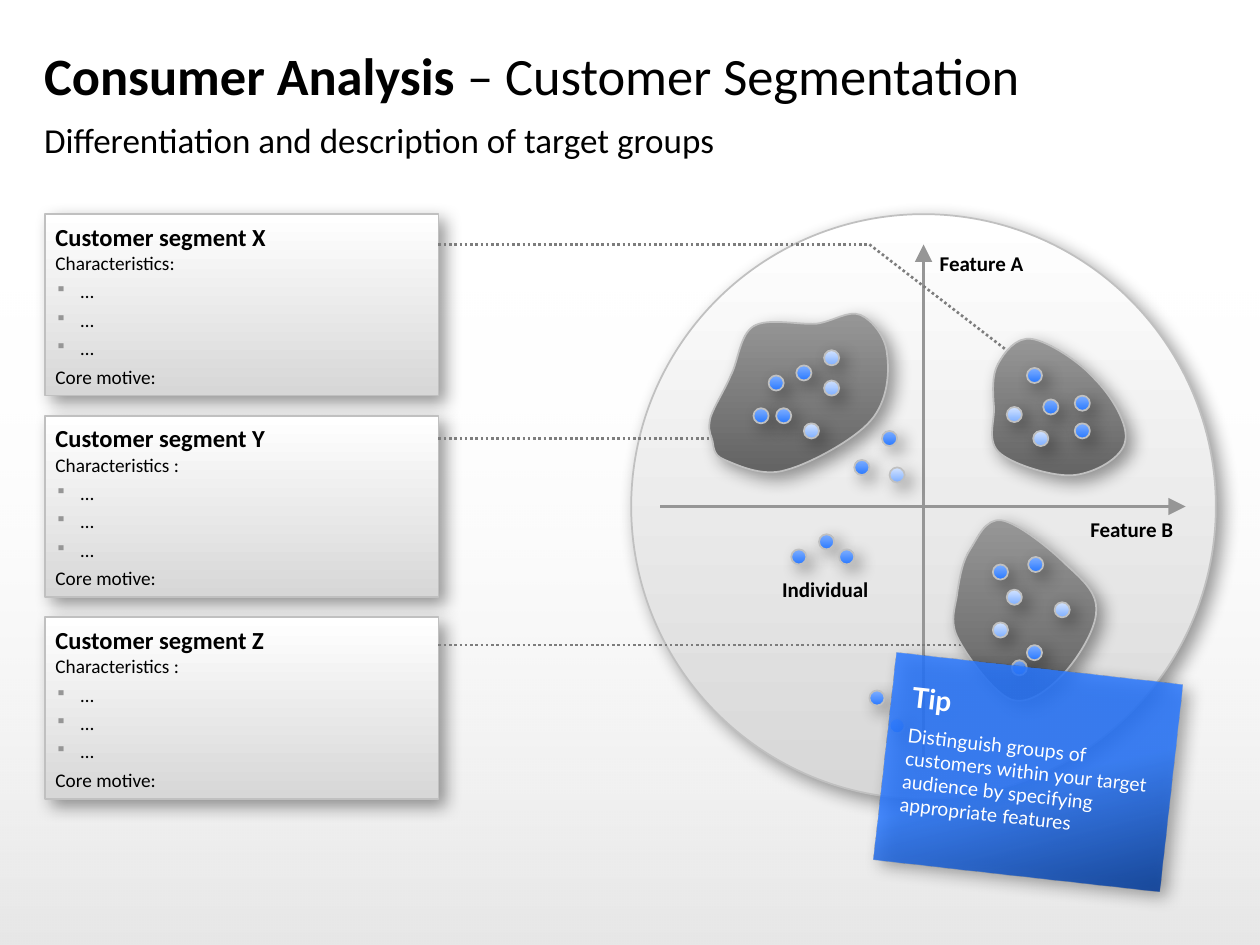
from typing import NamedTuple

from lxml import etree
from pptx import Presentation
from pptx import util as u
from pptx.dml.color import RGBColor
from pptx.enum import dml, shapes, text
from pptx.oxml.ns import qn
from pptx.shapes.autoshape import Shape
from pptx.slide import Slide
from pptx.text.text import TextFrame, _Paragraph

BLACK = RGBColor(0x00, 0x00, 0x00)
WHITE = RGBColor(0xFF, 0xFF, 0xFF)
LIGHT_GREY = RGBColor(0xD7, 0xD7, 0xD7)
OUTLINE_GREY = RGBColor(0xC0, 0xC0, 0xC0)
AXIS_GREY = RGBColor(0x96, 0x96, 0x96)
LINK_GREY = RGBColor(0x7D, 0x7D, 0x7D)
DARK_GREY = RGBColor(0x64, 0x64, 0x64)
BLUE = RGBColor(0x2A, 0x79, 0xFF)
SOFT_BLUE = RGBColor(0x7F, 0xAF, 0xFF)
PALE_BLUE = RGBColor(0xD4, 0xE4, 0xFF)
NAVY = RGBColor(0x00, 0x37, 0x94)

DOT_SIZE = 0.12


class Stop(NamedTuple):
    position: int
    color: RGBColor
    opacity: int = 100


class Segment(NamedTuple):
    name: str
    characteristics: str


class Label(NamedTuple):
    caption: str
    left: float
    top: float
    width: float
    alignment: text.PP_ALIGN


class Line(NamedTuple):
    start: tuple[float, float]
    end: tuple[float, float]


class Cluster(NamedTuple):
    start: tuple[float, float]
    curves: list[tuple[float, ...]]


PAPER = [Stop(0, LIGHT_GREY), Stop(100, WHITE)]
BLOB = [Stop(0, DARK_GREY), Stop(100, AXIS_GREY)]
STRONG_DOT = [Stop(0, BLUE), Stop(100, SOFT_BLUE)]
PALE_DOT = [Stop(0, SOFT_BLUE), Stop(100, PALE_BLUE)]
NOTE = [Stop(0, BLUE, 85), Stop(53, BLUE, 85), Stop(100, NAVY, 85)]
FLOOR = [Stop(0, BLACK, 10), Stop(100, WHITE, 0)]

SEGMENTS = [
    Segment("Customer segment X", "Characteristics:"),
    Segment("Customer segment Y", "Characteristics :"),
    Segment("Customer segment Z", "Characteristics :"),
]
LABELS = [
    Label("Feature A", 7.36, 1.94, 0.87, text.PP_ALIGN.LEFT),
    Label("Feature B", 8.54, 4.05, 0.87, text.PP_ALIGN.RIGHT),
    Label("Individual", 6.1, 4.53, 0.9, text.PP_ALIGN.CENTER),
]
AXES = [Line((7.33, 6.1), (7.33, 1.94)), Line((5.24, 4.02), (9.41, 4.02))]
LINKS = [
    Line((3.48, 1.94), (6.9, 1.94)),
    Line((6.9, 1.94), (7.99, 2.78)),
    Line((3.48, 3.48), (5.65, 3.48)),
    Line((3.48, 5.12), (7.72, 5.12)),
]
LEFT_CLUSTER = Cluster((5.65, 3.48), [
    (5.63, 3.43, 5.62, 3.39, 5.64, 3.31), (5.67, 3.22, 5.75, 3.1, 5.8, 2.98),
    (5.86, 2.87, 5.87, 2.66, 5.98, 2.59), (6.09, 2.52, 6.34, 2.58, 6.48, 2.57),
    (6.62, 2.55, 6.73, 2.46, 6.83, 2.5), (6.92, 2.54, 7.03, 2.67, 7.04, 2.81),
    (7.06, 2.95, 7.05, 3.18, 6.91, 3.34), (6.78, 3.49, 6.43, 3.68, 6.24, 3.73),
    (6.05, 3.79, 5.85, 3.69, 5.75, 3.65), (5.65, 3.61, 5.67, 3.54, 5.65, 3.48)])
RIGHT_CLUSTER = Cluster((7.89, 3.24), [
    (7.88, 3.12, 7.87, 2.98, 7.92, 2.89), (7.97, 2.8, 8.06, 2.67, 8.19, 2.69),
    (8.32, 2.71, 8.57, 2.87, 8.69, 3.01), (8.82, 3.14, 8.96, 3.37, 8.93, 3.5),
    (8.91, 3.63, 8.7, 3.75, 8.53, 3.77), (8.37, 3.79, 8.05, 3.69, 7.94, 3.6),
    (7.83, 3.51, 7.89, 3.36, 7.89, 3.24)])
LOWER_CLUSTER = Cluster((7.6, 4.69), [
    (7.62, 4.57, 7.64, 4.45, 7.7, 4.36), (7.76, 4.27, 7.82, 4.11, 7.95, 4.13),
    (8.08, 4.15, 8.34, 4.36, 8.46, 4.48), (8.59, 4.6, 8.71, 4.7, 8.7, 4.85),
    (8.7, 5, 8.54, 5.25, 8.42, 5.37), (8.31, 5.48, 8.16, 5.6, 8.02, 5.55),
    (7.88, 5.49, 7.67, 5.2, 7.6, 5.06), (7.53, 4.92, 7.59, 4.8, 7.6, 4.69)])
UPPER_STRONG = [
    (6.1, 2.98), (6.32, 2.9), (5.98, 3.24), (6.16, 3.24), (6.78, 3.65), (7, 3.42),
    (8.28, 3.17), (8.15, 2.92), (8.53, 3.14), (8.53, 3.36), (6.5, 4.24),
    (6.66, 4.36), (6.28, 4.36), (6.9, 5.48), (7.06, 5.7)]
UPPER_PALE = [(6.54, 3.02), (6.38, 3.36), (6.54, 2.78), (7.06, 3.71), (7.99, 3.23), (8.2, 3.42)]
LOWER_STRONG = [(7.88, 4.48), (8.03, 5.24), (8.15, 5.12), (8.16, 4.42)]
LOWER_PALE = [(7.99, 4.68), (7.88, 4.94), (8.37, 4.78)]


def add_color(parent: etree._Element, color: RGBColor, opacity: int) -> None:
    element = etree.SubElement(parent, qn("a:srgbClr"), val=str(color))
    if opacity < 100:
        etree.SubElement(element, qn("a:alpha"), val=str(opacity * 1000))


def style(shape: Shape, stops: list[Stop], angle: int = 270,
          outlined: bool = True, shadowed: bool = True) -> None:
    shape.fill.gradient()
    shape.fill.gradient_angle = 360 - angle
    stop_list = shape._element.spPr.find(qn("a:gradFill")).find(qn("a:gsLst"))
    for old_stop in list(stop_list):
        stop_list.remove(old_stop)
    for stop in stops:
        element = etree.SubElement(stop_list, qn("a:gs"), pos=str(stop.position * 1000))
        add_color(element, stop.color, stop.opacity)
    if outlined:
        shape.line.color.rgb = OUTLINE_GREY
        shape.line.width = u.Pt(1)
    else:
        shape.line.fill.background()
    shape.shadow.inherit = False
    if shadowed:
        effects = shape._element.spPr.find(qn("a:effectLst"))
        shadow = etree.SubElement(effects, qn("a:outerShdw"), blurRad=str(u.Pt(10)),
                                  dist=str(u.Pt(5)), dir="2700000", algn="tl", rotWithShape="0")
        add_color(shadow, BLACK, 40)


def add_preset(slide: Slide, kind: shapes.MSO_SHAPE, left: float, top: float,
               width: float, height: float) -> Shape:
    return slide.shapes.add_shape(kind, u.Inches(left), u.Inches(top),
                                  u.Inches(width), u.Inches(height))


def add_run(paragraph: _Paragraph, content: str, size: float, bold: bool = False,
            color: RGBColor = BLACK, font: str = "Calibri") -> None:
    run = paragraph.add_run()
    run.text = content
    run.font.name = font
    run.font.size = u.Pt(size)
    run.font.bold = bold
    run.font.color.rgb = color


def set_margins(frame: TextFrame, left: float, top: float, right: float, bottom: float) -> None:
    frame.margin_left, frame.margin_top = u.Inches(left), u.Inches(top)
    frame.margin_right, frame.margin_bottom = u.Inches(right), u.Inches(bottom)


def add_dots(slide: Slide, places: list[tuple[float, float]], stops: list[Stop]) -> None:
    for left, top in places:
        style(add_preset(slide, shapes.MSO_SHAPE.OVAL, left, top, DOT_SIZE, DOT_SIZE), stops)


def add_cluster(slide: Slide, cluster: Cluster) -> None:
    builder = slide.shapes.build_freeform(*map(u.Inches, cluster.start))
    builder.add_line_segments([tuple(map(u.Inches, curve[4:])) for curve in cluster.curves])
    blob = builder.convert_to_shape()
    for segment, curve in zip(list(blob._element.iter(qn("a:lnTo"))), cluster.curves):
        bezier = etree.Element(qn("a:cubicBezTo"))
        for x, y in zip(curve[::2], curve[1::2]):
            etree.SubElement(bezier, qn("a:pt"), x=str(u.Inches(x) - blob.left),
                             y=str(u.Inches(y) - blob.top))
        segment.getparent().replace(segment, bezier)
    style(blob, BLOB)


def add_line(slide: Slide, line: Line, color: RGBColor, arrow: bool) -> None:
    ends = [u.Inches(value) for value in line.start + line.end]
    connector = slide.shapes.add_connector(shapes.MSO_CONNECTOR.STRAIGHT, *ends)
    connector.line.color.rgb = color
    connector.line.width = u.Pt(1.5)
    if arrow:
        etree.SubElement(connector.line._get_or_add_ln(), qn("a:tailEnd"),
                         type="triangle", w="lg", len="lg")
    else:
        connector.line.dash_style = dml.MSO_LINE.ROUND_DOT
    etree.SubElement(connector._element.spPr, qn("a:effectLst"))


def add_card(slide: Slide, segment: Segment, top: float) -> None:
    card = add_preset(slide, shapes.MSO_SHAPE.RECTANGLE, 0.36, top, 3.12, 1.44)
    style(card, PAPER)
    frame = card.text_frame
    frame.word_wrap = True
    frame.vertical_anchor = text.MSO_ANCHOR.MIDDLE
    set_margins(frame, 0.08, 0, 0.08, 0)
    heading = frame.paragraphs[0]
    add_run(heading, segment.name, 14, bold=True)
    heading.add_line_break()
    add_run(heading, segment.characteristics, 11)
    for content in ("…", "…", "…", "Core motive:"):
        paragraph = frame.add_paragraph()
        if content == "…":
            properties = paragraph._p.get_or_add_pPr()
            properties.set("marL", str(u.Inches(0.2)))
            properties.set("indent", str(u.Inches(-0.2)))
            add_color(etree.SubElement(properties, qn("a:buClr")), AXIS_GREY, 100)
            etree.SubElement(properties, qn("a:buSzPct"), val="80000")
            etree.SubElement(properties, qn("a:buChar"), char="▪")
        add_run(paragraph, content, 11)
    for paragraph in frame.paragraphs:
        paragraph.alignment = text.PP_ALIGN.LEFT
        paragraph.space_after = u.Pt(3)


def add_label(slide: Slide, label: Label) -> None:
    box = slide.shapes.add_textbox(u.Inches(label.left), u.Inches(label.top),
                                   u.Inches(label.width), u.Inches(0.3))
    box.text_frame.word_wrap = False
    box.text_frame.auto_size = text.MSO_AUTO_SIZE.SHAPE_TO_FIT_TEXT
    paragraph = box.text_frame.paragraphs[0]
    paragraph.alignment = label.alignment
    add_run(paragraph, label.caption, 12, bold=True)


def place_heading(placeholder: Shape, top: float, height: float,
                  anchor: text.MSO_ANCHOR) -> _Paragraph:
    placeholder.left, placeholder.top = u.Inches(0.35), u.Inches(top)
    placeholder.width, placeholder.height = u.Inches(9.29), u.Inches(height)
    frame = placeholder.text_frame
    frame.auto_size = text.MSO_AUTO_SIZE.NONE
    frame.vertical_anchor = anchor
    set_margins(frame, 0, 0, 0, 0)
    paragraph = frame.paragraphs[0]
    properties = paragraph._p.get_or_add_pPr()
    properties.set("marL", "0")
    properties.set("indent", "0")
    etree.SubElement(properties, qn("a:buNone"))
    paragraph.alignment = text.PP_ALIGN.LEFT
    paragraph.space_before = u.Pt(0)
    return paragraph


def add_tip(slide: Slide) -> None:
    tip = add_preset(slide, shapes.MSO_SHAPE.RECTANGLE, 7.02, 5.3, 2.28, 1.65)
    tip.rotation = 6.4
    style(tip, NOTE, angle=70, outlined=False)
    frame = tip.text_frame
    frame.word_wrap = True
    frame.vertical_anchor = text.MSO_ANCHOR.TOP
    set_margins(frame, 0.16, 0.2, 0.08, 0.05)
    add_run(frame.paragraphs[0], "Tip", 16, True, WHITE, "Lato")
    add_run(frame.add_paragraph(), "Distinguish groups of customers within your target "
            "audience by specifying appropriate features", 11, False, WHITE, "Lato")
    for paragraph in frame.paragraphs:
        paragraph.alignment = text.PP_ALIGN.LEFT
        paragraph.space_after = u.Pt(6)


def main() -> None:
    presentation = Presentation()
    presentation.slide_width, presentation.slide_height = u.Inches(10), u.Inches(7.5)
    slide = presentation.slides.add_slide(presentation.slide_layouts[1])
    floor = add_preset(slide, shapes.MSO_SHAPE.RECTANGLE, 0, 2.21, 10, 5.29)
    style(floor, FLOOR, outlined=False, shadowed=False)
    presentation.slide_master.shapes._spTree.insert(2, floor._element)
    title = place_heading(slide.shapes.title, 0.26, 0.67, text.MSO_ANCHOR.MIDDLE)
    add_run(title, "Consumer Analysis ", 30, bold=True)
    add_run(title, "– Customer Segmentation", 30)
    subtitle = place_heading(slide.placeholders[1], 0.94, 0.37, text.MSO_ANCHOR.TOP)
    add_run(subtitle, "Differentiation and description of target groups", 20)
    for index, segment in enumerate(SEGMENTS):
        add_card(slide, segment, 1.7 + 1.6 * index)
    style(add_preset(slide, shapes.MSO_SHAPE.OVAL, 5.01, 1.7, 4.64, 4.64), PAPER)
    for axis in AXES:
        add_line(slide, axis, AXIS_GREY, arrow=True)
    for label in LABELS:
        add_label(slide, label)
    for cluster in (LEFT_CLUSTER, RIGHT_CLUSTER):
        add_cluster(slide, cluster)
    add_dots(slide, UPPER_STRONG, STRONG_DOT)
    add_dots(slide, UPPER_PALE, PALE_DOT)
    for link in LINKS:
        add_line(slide, link, LINK_GREY, arrow=False)
    add_cluster(slide, LOWER_CLUSTER)
    add_dots(slide, LOWER_STRONG, STRONG_DOT)
    add_dots(slide, LOWER_PALE, PALE_DOT)
    add_tip(slide)
    presentation.save("out.pptx")


if __name__ == "__main__":
    main()
